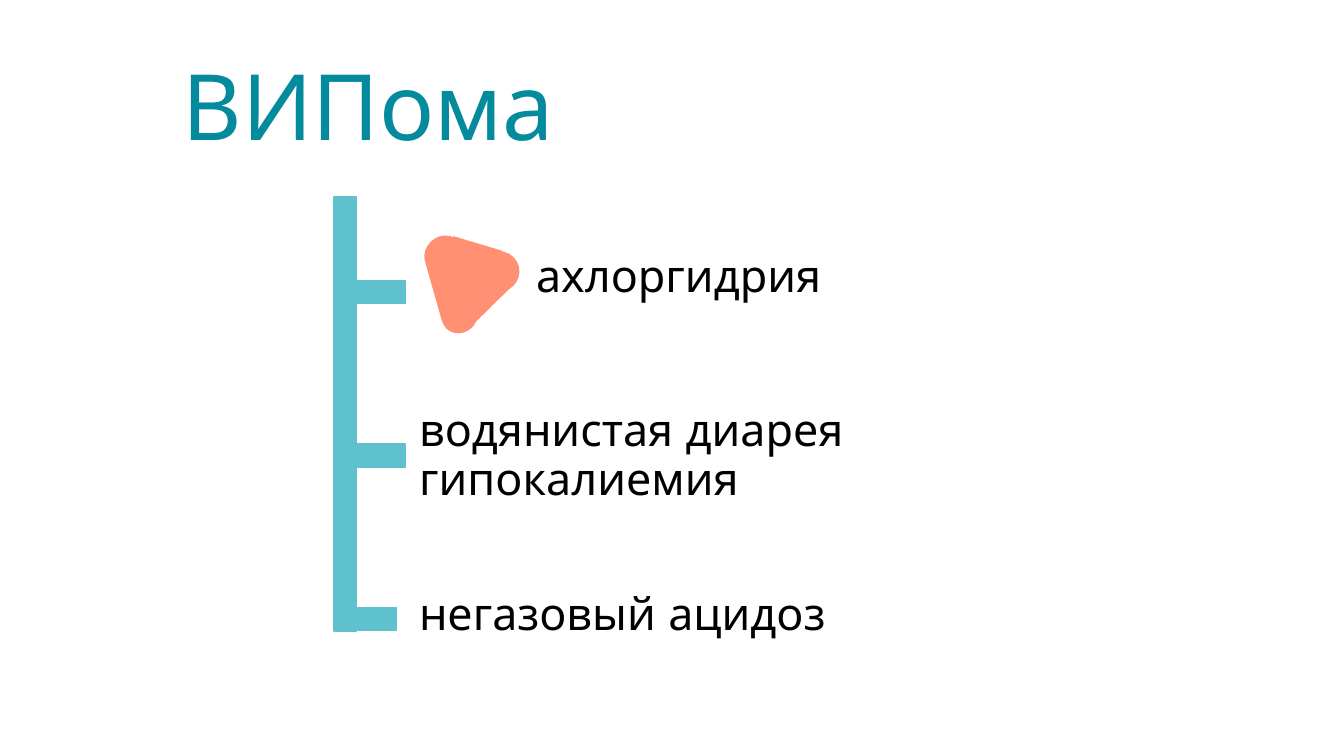
from pptx import Presentation
from pptx.dml.color import RGBColor
from pptx.enum.shapes import MSO_SHAPE
from pptx.enum.text import MSO_ANCHOR, MSO_AUTO_SIZE, PP_ALIGN
from pptx.util import Emu, Pt

PX = 4572
FONT = "Quicksand"
TEAL, AQUA, CORAL, WHITE, BLACK = "038A9D", "5FC0CE", "FF9073", "FFFFFF", "000000"
TILT = 315.4
MARKER_CORNERS = [(631, 353, 58, 52), (714, 375, 58, 58), (657, 444, 54, 50)]
MARKER_CUTS = [
    ((584, 316, 94, 64), TILT),
    ((736, 366, 100, 60), 255.3),
    ((626, 484, 100, 60), 14.3),
]
SYMPTOMS = [
    ((678, 326, 664, 176), ["ахлоргидрия"], PP_ALIGN.CENTER),
    ((604, 591, 910, 176), ["водянистая диарея", "гипокалиемия"], PP_ALIGN.LEFT),
    ((604, 829, 992, 176), ["негазовый ацидоз"], PP_ALIGN.LEFT),
]


def px(length):
    """Turn px, 200 to the inch, into EMU."""
    return Emu(length * PX)


def color(value):
    """Turn a hex string into a colour."""
    return RGBColor.from_string(value)


def add_solid(shapes, kind, box, fill, rotation=0):
    """Add a preset shape with fill and outline of one colour."""
    solid = shapes.add_shape(kind, *map(px, box))
    solid.rotation = rotation
    solid.shadow.inherit = False
    solid.fill.solid()
    solid.fill.fore_color.rgb = color(fill)
    solid.line.color.rgb = color(fill)
    solid.line.width = Pt(0.75)


def write_lines(holder, box, lines, size, ink, align=PP_ALIGN.LEFT):
    """Place a text holder and write one paragraph per line."""
    holder.left, holder.top, holder.width, holder.height = map(px, box)
    frame = holder.text_frame
    frame.word_wrap = True
    frame.auto_size = MSO_AUTO_SIZE.NONE
    frame.vertical_anchor = MSO_ANCHOR.MIDDLE
    frame.margin_left = frame.margin_right = px(20)
    frame.margin_top = frame.margin_bottom = px(20)
    for index, line in enumerate(lines):
        paragraph = frame.add_paragraph() if index else frame.paragraphs[0]
        paragraph.alignment = align
        paragraph.line_spacing = 0.9
        paragraph.space_before = Pt(0)
        run = paragraph.add_run()
        run.text = line
        run.font.name = FONT
        run.font.size = Pt(size)
        run.font.color.rgb = color(ink)


def add_marker(slide):
    """Add the rounded triangle as a group of body, cuts and corners."""
    marker = slide.shapes.add_group_shape().shapes
    add_solid(marker, MSO_SHAPE.ISOSCELES_TRIANGLE, (586, 312, 180, 164), CORAL, TILT)
    for box, rotation in MARKER_CUTS:
        add_solid(marker, MSO_SHAPE.ROUNDED_RECTANGLE, box, WHITE, rotation)
    for box in MARKER_CORNERS:
        add_solid(marker, MSO_SHAPE.OVAL, box, CORAL, TILT)


def add_bracket(slide):
    """Add the trunk and its three evenly spaced branches."""
    add_solid(slide.shapes, MSO_SHAPE.RECTANGLE, (497, 293, 34, 646), AQUA)
    for index, left in enumerate((512, 512, 498)):
        box = (left, 418 + 243 * index, 92, 34)
        add_solid(slide.shapes, MSO_SHAPE.RECTANGLE, box, AQUA)


def main():
    """Build the slide and save it."""
    presentation = Presentation()
    presentation.slide_width, presentation.slide_height = px(2000), px(1125)
    slide = presentation.slides.add_slide(presentation.slide_layouts[5])
    write_lines(slide.shapes.title, (252, 34, 1458, 262), ["ВИПома"], 49, TEAL)
    add_marker(slide)
    add_bracket(slide)
    for box, lines, align in SYMPTOMS:
        label = slide.shapes.add_textbox(*map(px, box))
        write_lines(label, box, lines, 24, BLACK, align)
    presentation.save("out.pptx")


if __name__ == "__main__":
    main()
